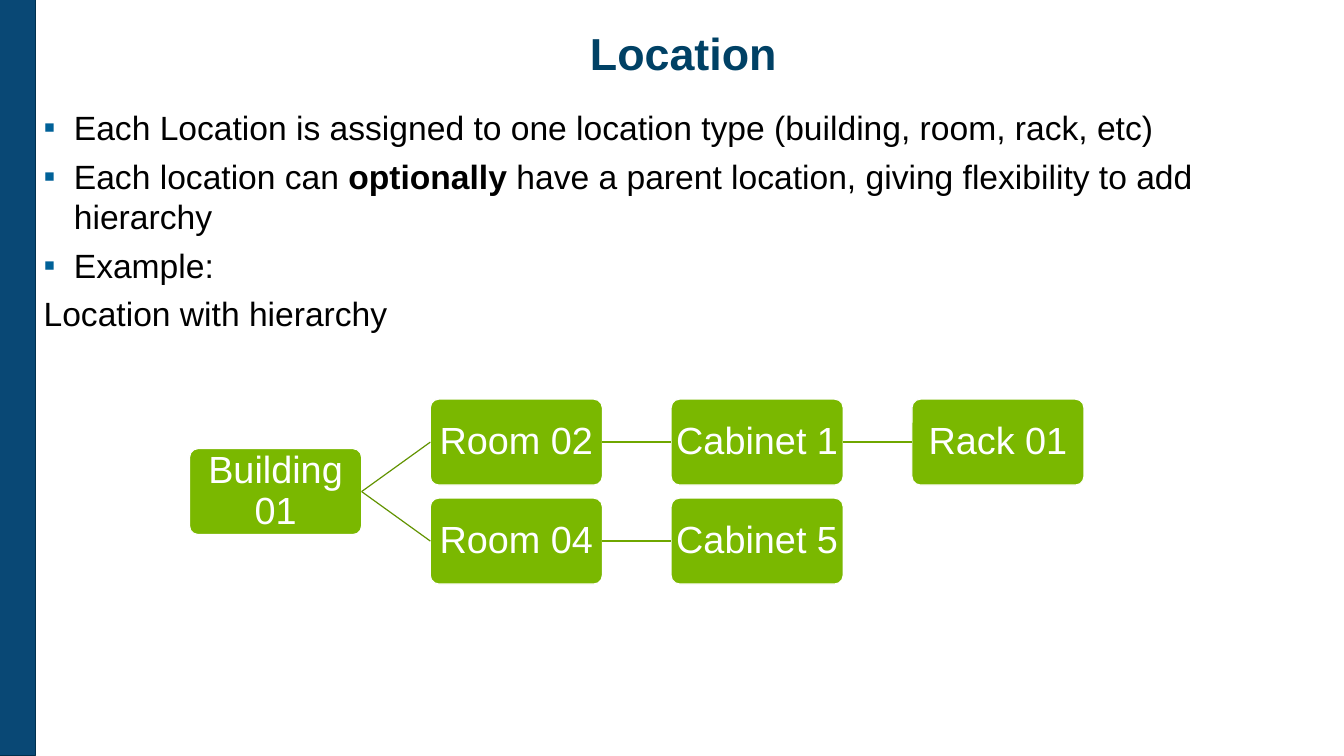
from lxml.etree import SubElement
from pptx import Presentation
from pptx.dml.color import RGBColor
from pptx.enum.shapes import MSO_CONNECTOR as Connector, MSO_SHAPE as Shape
from pptx.enum.text import MSO_ANCHOR as Anchor, PP_ALIGN as Align
from pptx.oxml.ns import qn
from pptx.util import Pt

COLORS = {"band": "094875", "band edge": "00304E", "title": "004165", "text": "000000",
          "bullet": "006198", "box": "7AB800", "white": "FFFFFF",
          "branch": "629300", "link": "6FA700"}
BOX_WIDTH, BOX_HEIGHT = 122.9, 61.4
LEFT, TOP = 135.4, 285.1
COLUMN_STEP, ROW_STEP = 172, 70.7


def color(name):
    return RGBColor.from_string(COLORS[name])


def set_font(para, size, name):
    para.font.name = "Arial"
    para.font.size = Pt(size)
    para.font.color.rgb = color(name)


deck = Presentation()
deck.slide_width, deck.slide_height = Pt(960), Pt(540)
page = deck.slides.add_slide(deck.slide_layouts[5])
shapes = page.shapes

# Side band
band = shapes.add_shape(Shape.RECTANGLE, Pt(0), Pt(0), Pt(25.4), Pt(540))
band.shadow.inherit = False
band.fill.solid()
band.fill.fore_color.rgb = color("band")
band.line.color.rgb = color("band edge")
band.line.width = Pt(0.75)

# Title
title = shapes.title
title.left, title.top, title.width, title.height = Pt(32.4), Pt(5), Pt(911.5), Pt(65.5)
frame = title.text_frame
frame.margin_left = frame.margin_right = frame.margin_top = frame.margin_bottom = 0
frame.vertical_anchor = Anchor.MIDDLE
frame.text = "Location"
para = frame.paragraphs[0]
para.alignment = Align.CENTER
para.font.bold = True
set_font(para, 32, "title")

# Body: each paragraph is (bulleted, [(text, bold), ...])
body = [
    (True, [("Each Location is assigned to one location type (building, room, rack, etc)", False)]),
    (True, [("Each location can ", False), ("optionally", True),
            (" have a parent location, giving flexibility to add hierarchy", False)]),
    (True, [("Example:", False)]),
    (False, [("Location with hierarchy", False)]),
]
frame = shapes.add_textbox(Pt(31.2), Pt(76.3), Pt(911.5), Pt(420.5)).text_frame
frame.word_wrap = True
frame.margin_left = frame.margin_right = frame.margin_top = 0
for index, (bulleted, spans) in enumerate(body):
    para = frame.add_paragraph() if index else frame.paragraphs[0]
    para.space_after = Pt(6)
    set_font(para, 24, "text")
    for text, bold in spans:
        span = para.add_run()
        span.text = text
        if bold:
            span.font.bold = True
    if bulleted:
        props = para._p.get_or_add_pPr()
        props.set("marL", str(Pt(21.6)))
        props.set("indent", str(-Pt(21.6)))
        bullet_color = SubElement(props, qn("a:buClr"))
        SubElement(bullet_color, qn("a:srgbClr"), val=COLORS["bullet"])
        SubElement(props, qn("a:buFont"), typeface="Arial")
        SubElement(props, qn("a:buChar"), char="▪")
        # The schema wants default run properties after the bullet
        props.append(props.find(qn("a:defRPr"))) if props.find(qn("a:defRPr")) is not None else None

# Hierarchy: name -> (column, row, parent)
locations = {
    "Building 01": (0, 0.5, None),
    "Room 02": (1, 0, "Building 01"),
    "Cabinet 1": (2, 0, "Room 02"),
    "Rack 01": (3, 0, "Cabinet 1"),
    "Room 04": (1, 1, "Building 01"),
    "Cabinet 5": (2, 1, "Room 04"),
}
boxes = {}
for name, (column, row, parent) in locations.items():
    box = shapes.add_shape(Shape.ROUNDED_RECTANGLE, Pt(LEFT + column * COLUMN_STEP),
                           Pt(TOP + row * ROW_STEP), Pt(BOX_WIDTH), Pt(BOX_HEIGHT))
    boxes[name] = box
    box.adjustments[0] = 0.1
    box.shadow.inherit = False
    box.fill.solid()
    box.fill.fore_color.rgb = color("box")
    box.line.color.rgb = color("white")
    box.line.width = Pt(0.85)
    frame = box.text_frame
    frame.word_wrap = True
    frame.vertical_anchor = Anchor.MIDDLE
    frame.margin_left = frame.margin_right = frame.margin_top = frame.margin_bottom = Pt(1.4)
    frame.text = name
    para = frame.paragraphs[0]
    para.alignment = Align.CENTER
    para.line_spacing = 0.9
    set_font(para, 27, "white")

    if parent:
        line = shapes.add_connector(Connector.STRAIGHT, 0, 0, 0, 0)
        line.begin_connect(boxes[parent], 3)
        line.end_connect(box, 1)
        line.line.color.rgb = color("branch" if column == 1 else "link")
        line.line.width = Pt(0.85)
        SubElement(line._element.spPr, qn("a:effectLst"))

deck.save("out.pptx")
